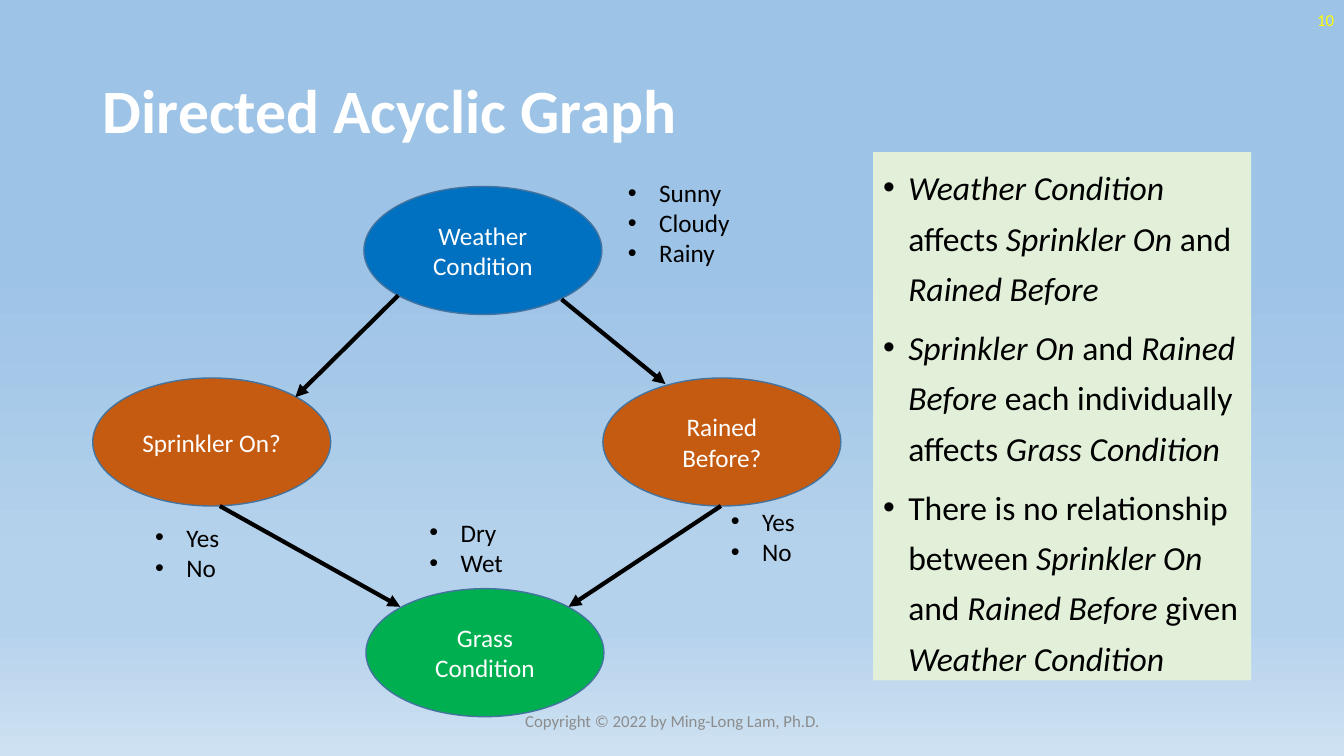
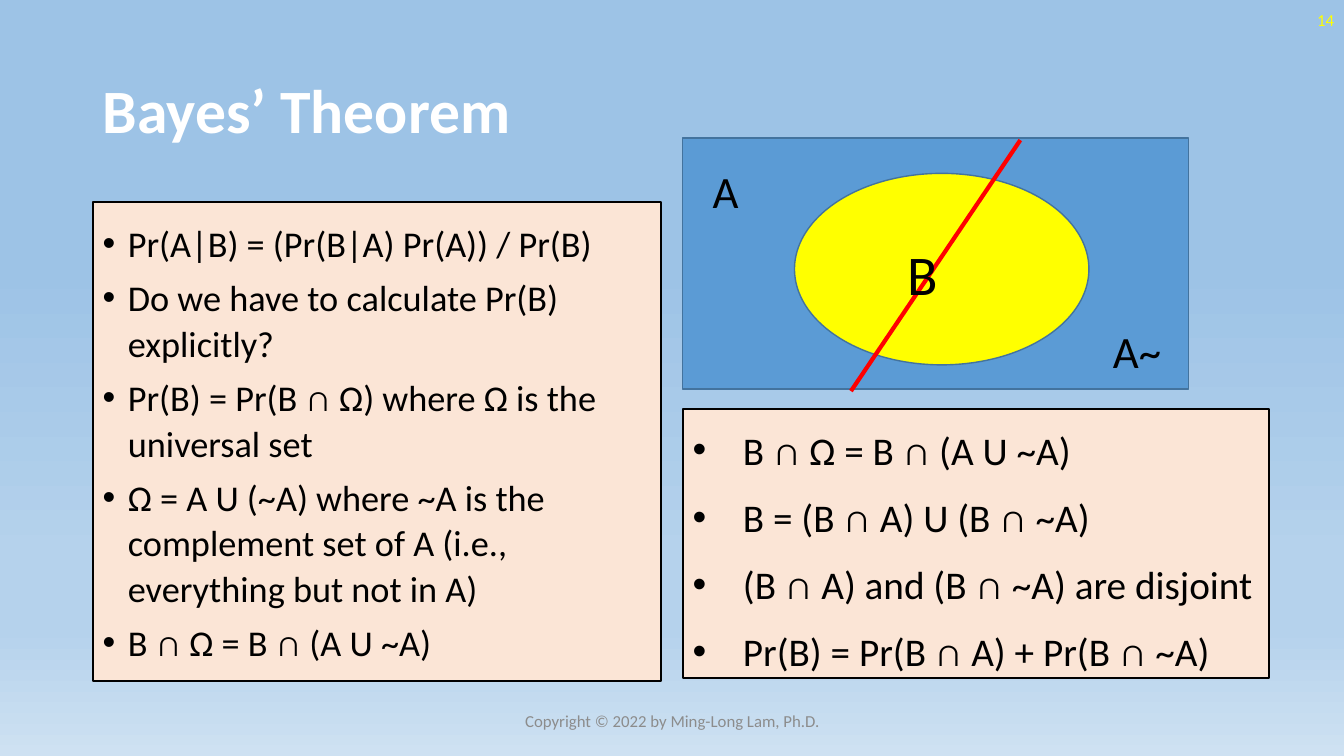
from lxml.etree import SubElement
from pptx import Presentation
from pptx.dml.color import RGBColor as RGB
from pptx.enum.shapes import MSO_CONNECTOR as CONN, MSO_SHAPE as SHAPE
from pptx.enum.text import MSO_ANCHOR as ANCHOR, PP_ALIGN as ALIGN
from pptx.oxml.ns import qn
from pptx.util import Inches, Pt


class Theme:
    font = "Calibri"
    white, black, gray = "FFFFFF", "000000", "8C8C8C"
    blue, sky, edge = "0070C0", "5B9BD5", "43739E"
    rust, green, yellow, red = "C55A11", "00B050", "FFFF00", "FF0000"
    mint, peach = "E2F0D9", "FBE5D6"
    sky_stops = [(35, "9DC3E6"), (74, "B5D2EC"), (83, "B5D2EC"), (100, "CEE1F2")]
    title, big, set_name, rule, note, proof, label, small = 44, 40, 32, 28, 24, 25.9, 18, 12


def write(shape, lines, size, color=Theme.black, align=ALIGN.LEFT,
          anchor=ANCHOR.TOP, indent=0, space=1, before=0, bold=False):
    frame = shape.text_frame
    frame.word_wrap = True
    frame.vertical_anchor = anchor
    for i, line in enumerate(lines):
        para = frame.paragraphs[0] if i == 0 else frame.add_paragraph()
        para.alignment = align
        para.line_spacing = space
        para.space_before = Pt(before if i else 0)
        if indent:
            props = para._p.get_or_add_pPr()
            props.set("marL", str(Inches(indent)))
            props.set("indent", str(-Inches(indent)))
            SubElement(props, qn("a:buFont"), typeface="Arial")
            SubElement(props, qn("a:buChar"), char="•")
        for j, part in enumerate(line.split("_")):
            if part:
                run = para.add_run()
                run.text = part
                run.font.name = Theme.font
                run.font.size = Pt(size)
                run.font.bold = bold
                run.font.italic = j % 2 == 1
                run.font.color.rgb = RGB.from_string(color)


def draw(slide, kind, at, fill, edge=None, width=1):
    shape = slide.shapes.add_shape(kind, *map(Inches, at))
    shape.shadow.inherit = False
    shape.fill.solid()
    shape.fill.fore_color.rgb = RGB.from_string(fill)
    if edge:
        shape.line.color.rgb = RGB.from_string(edge)
        shape.line.width = Pt(width)
    else:
        shape.line.fill.background()
    return shape


deck = Presentation()
deck.slide_width, deck.slide_height = Inches(13.33), Inches(7.5)

back = deck.slide_master.background.fill
back.gradient()
back.gradient_angle = 270
stops = deck.slide_master.background._cSld.find(".//" + qn("a:gsLst"))
for stop in list(stops):
    stops.remove(stop)
for place, color in Theme.sky_stops:
    stop = SubElement(stops, qn("a:gs"), pos=str(place * 1000))
    SubElement(stop, qn("a:srgbClr"), val=color)

slides = []
for head, number in [("Directed Acyclic Graph", "10"), ("Bayes’ Theorem", "14")]:
    slide = deck.slides.add_slide(deck.slide_layouts[5])
    slides.append(slide)
    title = slide.shapes.title
    title.left, title.top = Inches(0.92), Inches(0.4)
    title.width, title.height = Inches(11.5), Inches(1.45)
    write(title, [head], Theme.title, Theme.white, anchor=ANCHOR.MIDDLE, space=0.9, bold=True)
    for text, left, top, width, color, align in [
        (number, 10.33, 0, 3, Theme.yellow, ALIGN.RIGHT),
        ("Copyright © 2022 by Ming-Long Lam, Ph.D.", 4.42, 6.95, 4.5, Theme.gray, ALIGN.CENTER),
    ]:
        box = slide.shapes.add_textbox(*map(Inches, (left, top, width, 0.4)))
        write(box, [text], Theme.small, color, align, ANCHOR.MIDDLE)
graph, bayes = slides

notes = draw(graph, SHAPE.RECTANGLE, (8.66, 1.51, 3.75, 5.24), Theme.mint)
write(notes, [
    "_Weather Condition_ affects _Sprinkler On_ and _Rained Before_",
    "_Sprinkler On_ and _Rained Before_ each individually affects _Grass Condition_",
    "There is no relationship between _Sprinkler On_ and _Rained Before_ given _Weather Condition_",
], Theme.note, indent=0.25, space=1.25, before=6)

for text, left, top, fill in [
    ("Weather Condition", 3.61, 1.85, Theme.blue),
    ("Rained Before?", 5.98, 3.75, Theme.rust),
    ("Sprinkler On?", 0.92, 3.75, Theme.rust),
    ("Grass Condition", 3.63, 5.84, Theme.green),
]:
    node = draw(graph, SHAPE.OVAL, (left, top, 2.36, 1.27), fill, Theme.edge)
    write(node, [text], Theme.label, Theme.white, ALIGN.CENTER, ANCHOR.MIDDLE)

proof = draw(bayes, SHAPE.RECTANGLE, (0.92, 2, 5.64, 4.76), Theme.peach, Theme.black, 1.5)
write(proof, [
    "Pr(A|B) = (Pr(B|A) Pr(A)) / Pr(B)",
    "Do we have to calculate Pr(B) explicitly?",
    "Pr(B) = Pr(B ∩ Ω) where Ω is the universal set",
    "Ω = A U (~A) where ~A is the complement set of A (i.e., everything but not in A)",
    "B ∩ Ω = B ∩ (A U ~A)",
], Theme.proof, anchor=ANCHOR.MIDDLE, indent=0.25, space=1.05, before=6)

draw(bayes, SHAPE.RECTANGLE, (6.77, 1.37, 5.02, 2.49), Theme.sky, Theme.edge)
draw(bayes, SHAPE.OVAL, (7.88, 1.72, 2.92, 1.9), Theme.yellow, Theme.edge)

rules = draw(bayes, SHAPE.RECTANGLE, (6.77, 4.06, 5.82, 2.67), Theme.peach, Theme.black, 1.5)
write(rules, [
    "B ∩ Ω = B ∩ (A U ~A)",
    "B = (B ∩ A) U (B ∩ ~A)",
    "(B ∩ A) and (B ∩ ~A) are disjoint",
    "Pr(B) = Pr(B ∩ A) + Pr(B ∩ ~A)",
], Theme.rule, indent=0.5, space=1.25, before=6)

for slide, ends, color, arrow in [
    (graph, (3.95, 2.93, 2.93, 3.94), Theme.black, True),
    (graph, (7.15, 5.02, 5.64, 6.02), Theme.black, True),
    (graph, (5.57, 2.97, 6.6, 3.81), Theme.black, True),
    (graph, (2.18, 5.02, 3.97, 6.02), Theme.black, True),
    (bayes, (10.12, 1.39, 8.44, 3.88), Theme.red, False),
]:
    link = slide.shapes.add_connector(CONN.STRAIGHT, *map(Inches, ends))
    link.line.color.rgb = RGB.from_string(color)
    link.line.width = Pt(3)
    props = link._element.spPr
    if arrow:
        SubElement(props.find(qn("a:ln")), qn("a:tailEnd"), type="triangle")
    SubElement(props, qn("a:effectLst"))

for slide, lines, at, size, indent in [
    (graph, ["Sunny", "Cloudy", "Rainy"], (6.13, 1.71, 1.24, 1.01), Theme.label, 0.31),
    (graph, ["Yes", "No"], (1.44, 5.13, 1.24, 0.71), Theme.label, 0.31),
    (graph, ["Yes", "No"], (7.15, 4.97, 1.24, 0.71), Theme.label, 0.31),
    (graph, ["Dry", "Wet"], (4.16, 5.08, 1.24, 0.71), Theme.label, 0.31),
    (bayes, ["A"], (6.97, 1.58, 0.6, 0.64), Theme.set_name, 0),
    (bayes, ["A~"], (10.94, 3.16, 0.8, 0.64), Theme.set_name, 0),
    (bayes, ["B"], (8.9, 2.33, 0.91, 0.77), Theme.big, 0),
]:
    box = slide.shapes.add_textbox(*map(Inches, at))
    write(box, lines, size, indent=indent)

deck.save("out.pptx")
